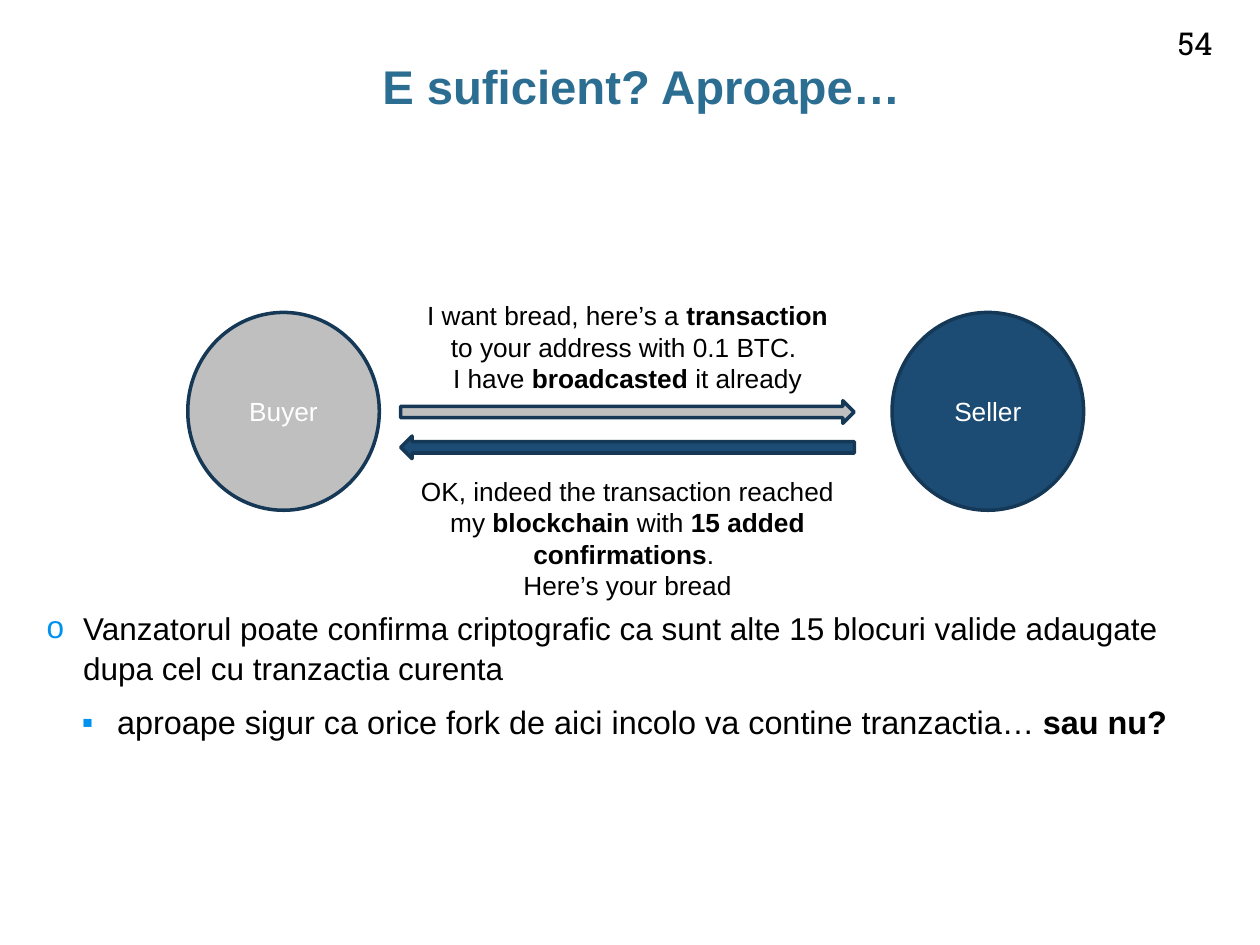
from lxml import etree
from pptx import Presentation
from pptx.dml.color import RGBColor
from pptx.enum.shapes import MSO_SHAPE
from pptx.enum.text import MSO_ANCHOR, PP_ALIGN
from pptx.oxml.ns import qn
from pptx.util import Inches, Pt

CENTER, LEFT = PP_ALIGN.CENTER, PP_ALIGN.LEFT
TOP, MIDDLE, BOTTOM = MSO_ANCHOR.TOP, MSO_ANCHOR.MIDDLE, MSO_ANCHOR.BOTTOM
OVAL, ARROW = MSO_SHAPE.OVAL, MSO_SHAPE.RIGHT_ARROW

COLORS = {"title": "2C6D92", "text": "000000", "white": "FFFFFF", "bullet": "0092EF",
          "navy": "1C4C74", "gray": "BFBFBF", "outline": "153856"}
WIDTH, HEIGHT = 10, 7.5
MARGIN, CONTENT_WIDTH = 0.37, 9.44
LANE_LEFT, LANE_WIDTH = 3.18, 3.6
PARTY_TOP, PARTY_SIZE = 2.48, (1.52, 1.57)

# Paragraphs are lists of (text, bold) runs.
TITLE = [[("E suficient? Aproape…", True)]]
NUMBER = [[("54", False)]]
PARTIES = [("Buyer", 1.49, "gray"), ("Seller", 7.08, "navy")]
ARROWS = [(3.18, "gray", 0), (3.46, "navy", 180)]
MESSAGES = [
    (2.33, 0.86, [
        [("I want bread, here’s a ", False), ("transaction", True),
         (" to your address with 0.1 BTC. ", False)],
        [("I have ", False), ("broadcasted", True), (" it already", False)]]),
    (3.72, 1.11, [
        [("OK, indeed the transaction reached my ", False), ("blockchain", True),
         (" with ", False), ("15 added confirmations", True), (". ", False)],
        [("Here’s your bread", False)]]),
]
POINTS = [
    [("Vanzatorul poate confirma criptografic ca sunt alte 15 blocuri valide adaugate "
      "dupa cel cu tranzactia curenta", False)],
    [("aproape sigur ca orice fork de aici incolo va contine tranzactia… ", False),
     ("sau nu?", True)],
]
# Bullet sign, text indent, hanging part, text size
LEVELS = [("o", 0.29, 0.29, 18), ("▪", 0.56, 0.28, 18.5)]


def rgb(name):
    return RGBColor.from_string(COLORS[name])


def write(frame, paragraphs, size, color="text", font="Arial", align=CENTER,
          anchor=TOP, insets=(0.1, 0.05)):
    frame.word_wrap = True
    frame.vertical_anchor = anchor
    frame.margin_left = frame.margin_right = Inches(insets[0])
    frame.margin_top = frame.margin_bottom = Inches(insets[1])
    for index, runs in enumerate(paragraphs):
        para = frame.paragraphs[0] if index == 0 else frame.add_paragraph()
        para.alignment = align
        for text, bold in runs:
            span = para.add_run()
            span.text = text
            span.font.name, span.font.size, span.font.bold = font, Pt(size), bold
            span.font.color.rgb = rgb(color)


def add_text(page, left, top, width, height, paragraphs, size, **style):
    box = page.shapes.add_textbox(*map(Inches, (left, top, width, height)))
    write(box.text_frame, paragraphs, size, **style)
    return box.text_frame


def add_figure(page, kind, left, top, width, height, fill):
    figure = page.shapes.add_shape(kind, *map(Inches, (left, top, width, height)))
    figure.shadow.inherit = False
    figure.fill.solid()
    figure.fill.fore_color.rgb = rgb(fill)
    figure.line.color.rgb = rgb("outline")
    figure.line.width = Pt(2)
    return figure


def add_bullet(para, sign, indent, hanging):
    props = para._p.get_or_add_pPr()
    props.set("marL", str(Inches(indent)))
    props.set("indent", str(-Inches(hanging)))
    color = etree.SubElement(props, qn("a:buClr"))
    etree.SubElement(color, qn("a:srgbClr"), val=COLORS["bullet"])
    etree.SubElement(props, qn("a:buFont"), typeface="Arial")
    etree.SubElement(props, qn("a:buChar"), char=sign)


def main():
    deck = Presentation()
    deck.slide_width, deck.slide_height = Inches(WIDTH), Inches(HEIGHT)
    page = deck.slides.add_slide(deck.slide_layouts[6])

    title = add_text(page, MARGIN, 0.39, CONTENT_WIDTH, 0.79, TITLE, 27,
                     color="title", insets=(0.1, 0.1))
    title.paragraphs[0].line_spacing = 0.95
    add_text(page, 9.16, 0.14, 0.65, 0.4, NUMBER, 18, font="Roboto Slab", anchor=BOTTOM)

    for name, left, fill in PARTIES:
        party = add_figure(page, OVAL, left, PARTY_TOP, *PARTY_SIZE, fill)
        write(party.text_frame, [[(name, False)]], 15, color="white", anchor=MIDDLE)
    for top, fill, rotation in ARROWS:
        arrow = add_figure(page, ARROW, LANE_LEFT, top, LANE_WIDTH, 0.18, fill)
        arrow.rotation = rotation
    for top, height, paragraphs in MESSAGES:
        add_text(page, LANE_LEFT, top, LANE_WIDTH, height, paragraphs, 15)

    body = add_text(page, MARGIN, 4.77, CONTENT_WIDTH, 1.56, POINTS, 18,
                    align=LEFT, insets=(0, 0.05))
    for index, (sign, indent, hanging, size) in enumerate(LEVELS):
        para = body.paragraphs[index]
        add_bullet(para, sign, indent, hanging)
        para.line_spacing = 1.05
        if index:
            para.space_before = Pt(8)
        for span in para.runs:
            span.font.size = Pt(size)

    deck.save("out.pptx")


if __name__ == "__main__":
    main()
